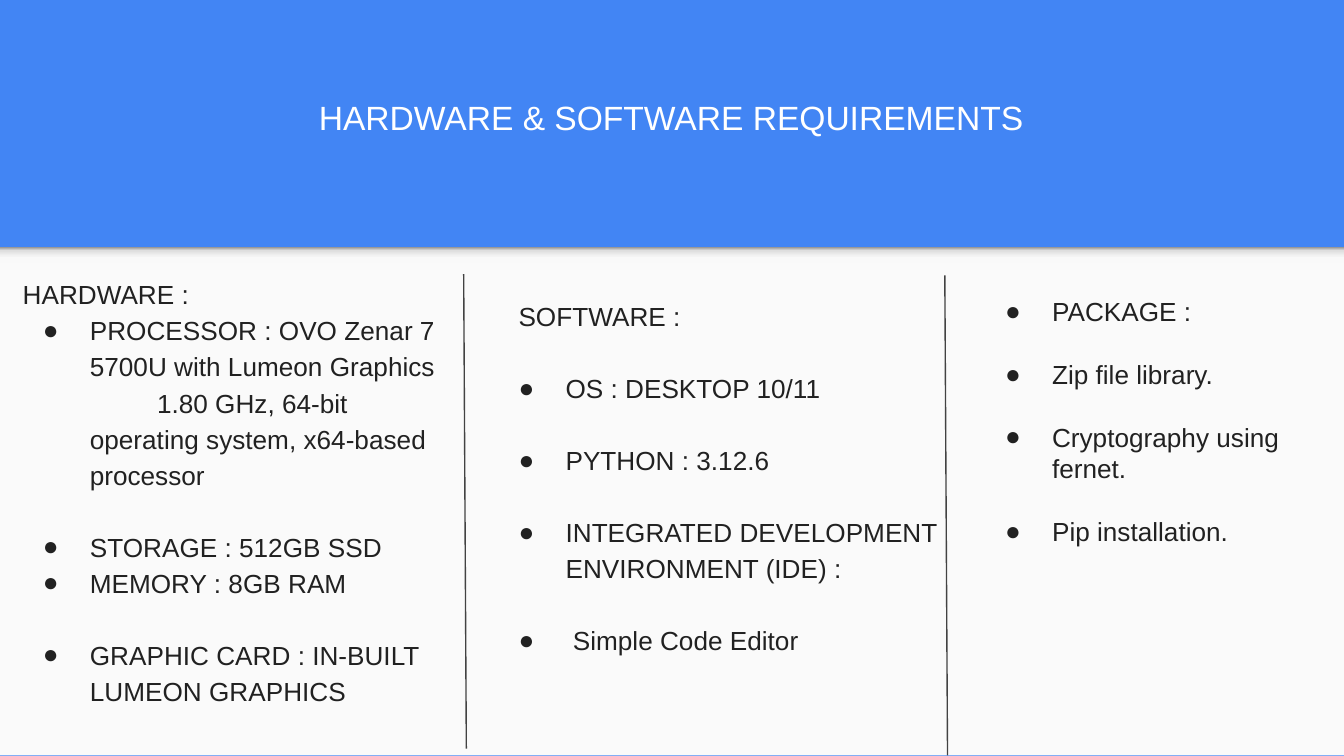
import copy
import dataclasses
import typing

import lxml.etree
import pptx
import pptx.dml.color
import pptx.enum.shapes
import pptx.enum.text
import pptx.oxml.ns
import pptx.util

Inches = pptx.util.Inches
Pt = pptx.util.Pt
qn = pptx.oxml.ns.qn
Align = pptx.enum.text.PP_ALIGN
Anchor = pptx.enum.text.MSO_ANCHOR
Fit = pptx.enum.text.MSO_AUTO_SIZE
Kind = pptx.enum.shapes.MSO_SHAPE

FONT = "Arial"
BLUE, PALE, INK, RULE, WHITE = "4285F4", "FAFAFA", "212121", "424242", "FFFFFF"
SHADE = [(0, "F9F9F9"), (0.36, "F9F9F9"), (0.8, "DEDEDE"), (1, "999999")]
FRAME = {f"margin_{side}": Inches(0.1) for side in ("left", "right", "top", "bottom")}
FRAME |= {"word_wrap": True, "auto_size": Fit.NONE}


@dataclasses.dataclass
class Item:
    text: str
    gap: bool = False
    dot: bool = True
    left: float = 0.5


@dataclasses.dataclass
class Column:
    box: tuple[float, float, float, float]
    lead: float
    gap: float
    items: list[Item]


COLUMNS = [
    Column((0.07, 1.94, 3.38, 3.63), 1.15, 19.3, [
        Item("HARDWARE :", dot=False, left=0),
        Item("PROCESSOR : OVO Zenar 7 5700U with Lumeon Graphics\v\t"
             "1.80 GHz, 64-bit operating system, x64-based processor"),
        Item("STORAGE : 512GB SSD", gap=True),
        Item("MEMORY : 8GB RAM"),
        Item("GRAPHIC CARD : IN-BUILT LUMEON GRAPHICS", gap=True),
    ]),
    Column((3.61, 2.1, 3.71, 3.22), 1.15, 19.3, [
        Item("SOFTWARE :", dot=False, left=0.15),
        Item("OS : DESKTOP 10/11", gap=True),
        Item("PYTHON : 3.12.6", gap=True),
        Item("INTEGRATED DEVELOPMENT ENVIRONMENT (IDE) :", gap=True),
        Item(" Simple Code Editor", gap=True),
    ]),
    Column((7.23, 2.1, 2.57, 2.79), 1.0, 16.8, [
        Item("PACKAGE :"),
        Item("Zip file library.", gap=True),
        Item("Cryptography using fernet.", gap=True),
        Item("Pip installation.", gap=True),
    ]),
]
RULES = [(3.45, 2.04, 3.47, 5.57), (7.03, 2.05, 7.05, 5.62)]


def tint(code: str) -> pptx.dml.color.RGBColor:
    return pptx.dml.color.RGBColor.from_string(code)


def style(part: typing.Any, form: dict[str, typing.Any]) -> None:
    for name, value in form.items():
        setattr(part, name, value)


def place(box: typing.Iterable[float]) -> list[int]:
    return [Inches(size) for size in box]


def type_in(para: typing.Any, text: str, size: float, code: str) -> None:
    para.text = text
    for run in para.runs:
        style(run.font, {"name": FONT, "size": Pt(size)})
        run.font.color.rgb = tint(code)


def draw_band(slide: typing.Any, top: float, high: float) -> typing.Any:
    band = slide.shapes.add_shape(Kind.RECTANGLE, *place((0, top, 10, high)))
    band.shadow.inherit = False
    band.line.fill.background()
    return band


def draw_shade(slide: typing.Any) -> None:
    fill = draw_band(slide, 1.84, 0.12).fill
    fill.gradient()
    fill.gradient_angle = 90
    stops = fill.gradient_stops
    first = stops[0]._gs
    for _ in range(len(SHADE) - len(stops)):
        first.addnext(copy.deepcopy(first))
    for stop, (spot, code) in zip(fill.gradient_stops, SHADE):
        stop.position = spot
        stop.color.rgb = tint(code)


def draw_title(slide: typing.Any, text: str) -> None:
    title = slide.shapes.title
    left, top, width, height = place((0.5, 0.58, 8.99, 0.84))
    style(title, {"left": left, "top": top, "width": width, "height": height})
    style(title.text_frame, FRAME | {"vertical_anchor": Anchor.BOTTOM,
                                     "margin_bottom": Inches(0.4)})
    para = title.text_frame.paragraphs[0]
    type_in(para, text, 18, WHITE)
    para.alignment = Align.CENTER


def add_dot(props: typing.Any) -> None:
    hue = lxml.etree.SubElement(props, qn("a:buClr"))
    lxml.etree.SubElement(hue, qn("a:srgbClr"), val=INK)
    lxml.etree.SubElement(props, qn("a:buSzPts"), val="1400")
    lxml.etree.SubElement(props, qn("a:buFont"), typeface=FONT)
    lxml.etree.SubElement(props, qn("a:buChar"), char="●")


def draw_column(slide: typing.Any, column: Column) -> None:
    frame = slide.shapes.add_textbox(*place(column.box)).text_frame
    style(frame, FRAME)
    for rank, item in enumerate(column.items):
        para = frame.add_paragraph() if rank else frame.paragraphs[0]
        type_in(para, item.text, 14, INK)
        style(para, {"line_spacing": column.lead,
                     "space_before": Pt(column.gap if item.gap else 0)})
        props = para._p.get_or_add_pPr()
        props.set("marL", str(Inches(item.left)))
        props.set("indent", str(Inches(-0.35 if item.dot else 0)))
        if item.dot:
            add_dot(props)


def draw_rule(slide: typing.Any, ends: tuple[float, float, float, float]) -> None:
    kind = pptx.enum.shapes.MSO_CONNECTOR.STRAIGHT
    rule = slide.shapes.add_connector(kind, *place(ends))
    rule.line.width = Pt(0.75)
    rule.line.color.rgb = tint(RULE)
    lxml.etree.SubElement(rule._element.spPr, qn("a:effectLst"))


def main() -> None:
    deck = pptx.Presentation()
    wide = Inches(10)
    style(deck, {"slide_width": wide, "slide_height": wide * 9 // 16})
    slide = deck.slides.add_slide(deck.slide_layouts[5])
    back = slide.background.fill
    back.solid()
    back.fore_color.rgb = tint(BLUE)
    panel = draw_band(slide, 1.84, 3.78)
    panel.fill.solid()
    panel.fill.fore_color.rgb = tint(PALE)
    draw_shade(slide)
    draw_title(slide, "HARDWARE & SOFTWARE REQUIREMENTS")
    for column in COLUMNS:
        draw_column(slide, column)
    for ends in RULES:
        draw_rule(slide, ends)
    deck.save("out.pptx")


if __name__ == "__main__":
    main()
